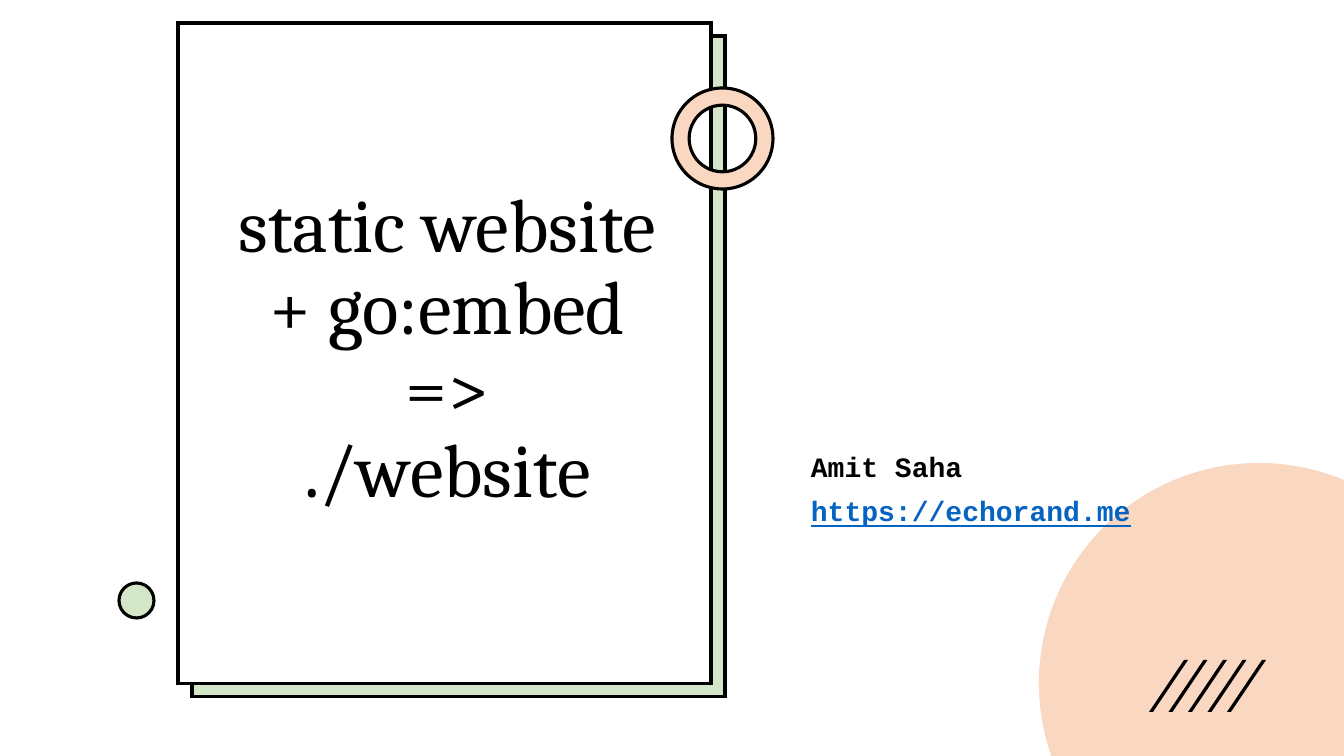
"""Build the title slide of a talk on embedding a static website in a Go binary."""
import math
from dataclasses import dataclass

import lxml.etree
import pptx
import pptx.dml.color
import pptx.enum.shapes
import pptx.enum.text
import pptx.oxml.ns
import pptx.util

EMU_PER_PX = 914400 / 100.8
UNITS_PER_PX = 100
SLIDE_WIDTH, SLIDE_HEIGHT = 1344, 756
TITLE_ONLY = 5


def px(length):
    return pptx.util.Emu(round(length * EMU_PER_PX))


def rgb(code):
    return pptx.dml.color.RGBColor.from_string(code)


@dataclass(frozen=True)
class Theme:
    paper: str = "FFFFFF"
    ink: str = "000000"
    green: str = "D4E6C8"
    peach: str = "F9D7C0"
    link: str = "0563C1"
    title_font: str = "Cambria"
    body_font: str = "Courier New"
    title_size: int = 54
    body_size: int = 20
    outline: float = 2.25


class SlideBuilder:
    def __init__(self, slide, theme):
        self.slide = slide
        self.theme = theme
        slide.background.fill.solid()
        slide.background.fill.fore_color.rgb = rgb(theme.ink)

    def paint(self, shape, fill, outlined):
        shape.shadow.inherit = False
        shape.fill.solid()
        shape.fill.fore_color.rgb = rgb(fill)
        if outlined:
            shape.line.color.rgb = rgb(self.theme.ink)
            shape.line.width = pptx.util.Pt(self.theme.outline)
            outline = shape.element.spPr.find(pptx.oxml.ns.qn("a:ln"))
            lxml.etree.SubElement(outline, pptx.oxml.ns.qn("a:miter"), lim="800000")
        else:
            shape.line.fill.background()

    def preset(self, kind, box, fill, outlined=True):
        shape = self.slide.shapes.add_shape(kind, *map(px, box))
        self.paint(shape, fill, outlined)
        return shape

    def polygon(self, points, fill):
        start, *rest = [
            (round(x * UNITS_PER_PX), round(y * UNITS_PER_PX)) for x, y in points
        ]
        builder = self.slide.shapes.build_freeform(
            *start, scale=EMU_PER_PX / UNITS_PER_PX
        )
        builder.add_line_segments(rest, close=True)
        self.paint(builder.convert_to_shape(), fill, outlined=False)

    def style_paragraph(self, paragraph, font, size, color):
        paragraph.line_spacing = 0.9
        paragraph.font.name = font
        paragraph.font.size = pptx.util.Pt(size)
        paragraph.font.color.rgb = rgb(color)

    def title(self, text, box):
        heading = self.slide.shapes.title
        heading.left, heading.top, heading.width, heading.height = map(px, box)
        self.slide.shapes.element.append(heading.element)
        frame = heading.text_frame
        frame.word_wrap = True
        frame.auto_size = pptx.enum.text.MSO_AUTO_SIZE.NONE
        frame.vertical_anchor = pptx.enum.text.MSO_ANCHOR.MIDDLE
        paragraph = frame.paragraphs[0]
        paragraph.text = text
        paragraph.alignment = pptx.enum.text.PP_ALIGN.CENTER
        self.style_paragraph(
            paragraph, self.theme.title_font, self.theme.title_size, self.theme.ink
        )

    def byline(self, author, address, box):
        frame = self.slide.shapes.add_textbox(*map(px, box)).text_frame
        frame.word_wrap = True
        author_line, address_line = frame.paragraphs[0], frame.add_paragraph()
        for line, text, color in (
            (author_line, author, self.theme.ink),
            (address_line, address, self.theme.link),
        ):
            line.text = text
            line.space_before = pptx.util.Pt(10)
            self.style_paragraph(
                line, self.theme.body_font, self.theme.body_size, color
            )
            line.font.bold = True
        address_line.font.underline = True


def main():
    theme = Theme()
    kinds = pptx.enum.shapes.MSO_SHAPE
    deck = pptx.Presentation()
    deck.slide_width, deck.slide_height = px(SLIDE_WIDTH), px(SLIDE_HEIGHT)
    slide = deck.slides.add_slide(deck.slide_layouts[TITLE_ONLY])
    builder = SlideBuilder(slide, theme)

    builder.preset(
        kinds.RECTANGLE, (0, 0, SLIDE_WIDTH, SLIDE_HEIGHT), theme.paper, outlined=False
    )
    builder.preset(kinds.RECTANGLE, (192, 36, 533, 661), theme.green)
    builder.preset(kinds.RECTANGLE, (178, 23, 533, 661), theme.paper)
    builder.title(
        "static website + go:embed =>\v./website", (223, 56, 449, 589)
    )

    center_x, center_y, radius = 1259, 683, 220
    sun_edge = [
        (
            center_x + radius * math.cos(math.radians(angle)),
            center_y + radius * math.sin(math.radians(angle)),
        )
        for angle in range(161, 293)
    ]
    sun_corners = [(SLIDE_WIDTH, 480), (SLIDE_WIDTH, SLIDE_HEIGHT), (1051, SLIDE_HEIGHT)]
    builder.polygon(sun_edge + sun_corners, theme.peach)

    builder.byline("Amit Saha", "https://echorand.me", (801, 448, 368, 212))

    ring = builder.preset(kinds.DONUT, (672, 88, 101, 101), theme.peach)
    ring.adjustments[0] = 0.17
    builder.preset(kinds.OVAL, (119, 583, 35, 35), theme.green)

    for index in range(5):
        left = 1149 + 19.5 * index
        builder.polygon(
            [(left, 712), (left + 35, 660), (left + 39, 660), (left + 4, 712)],
            theme.ink,
        )

    deck.save("out.pptx")


if __name__ == "__main__":
    main()
